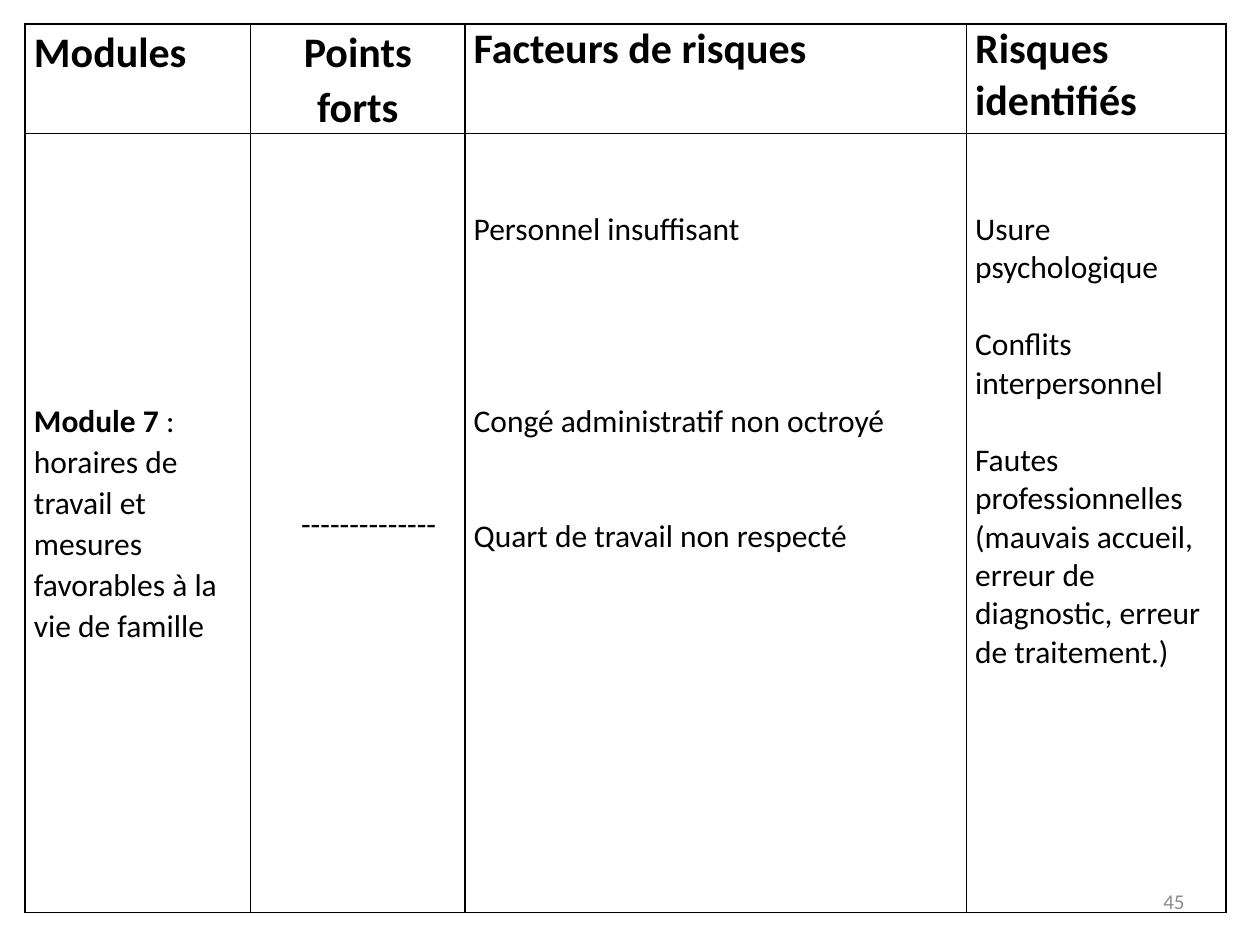
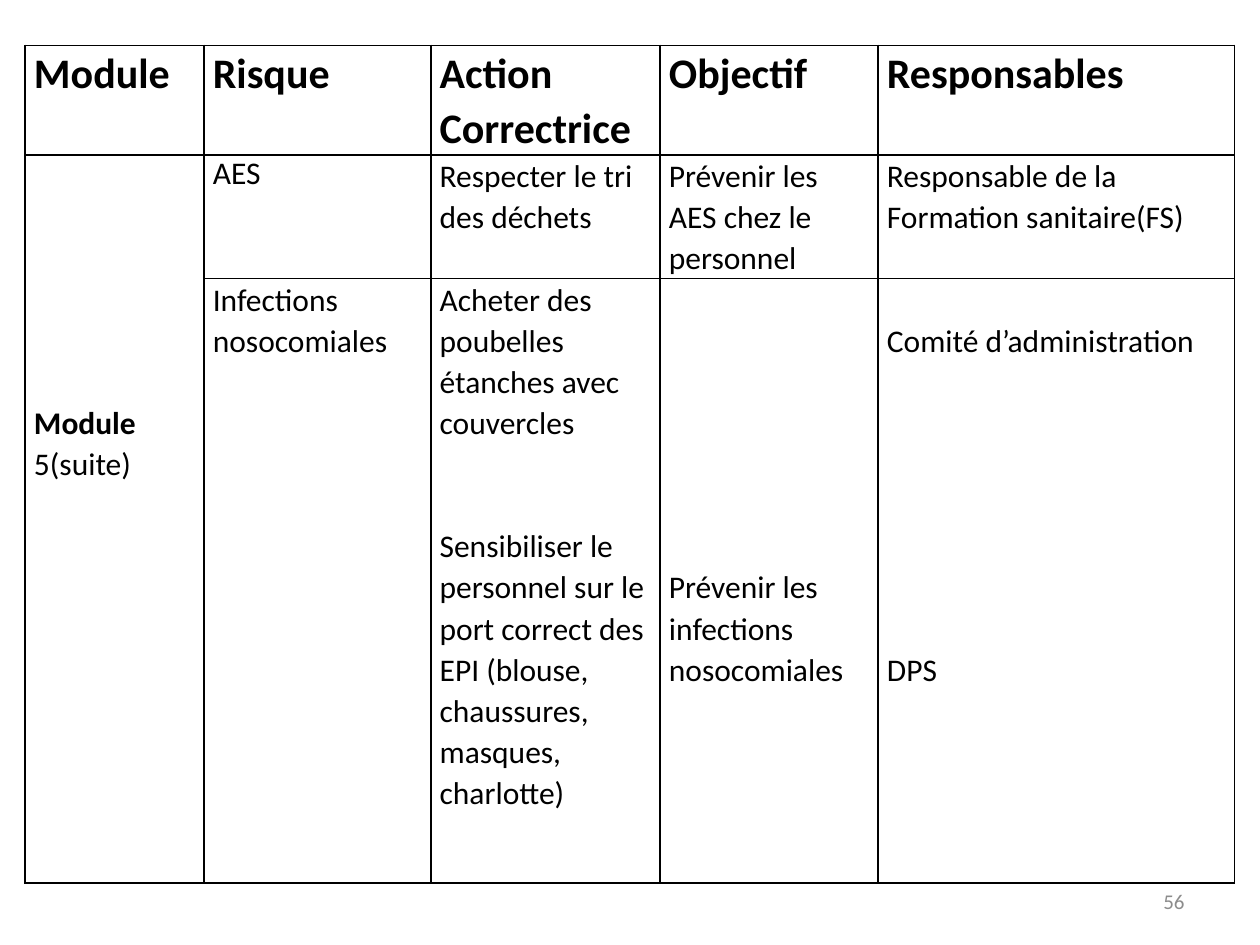
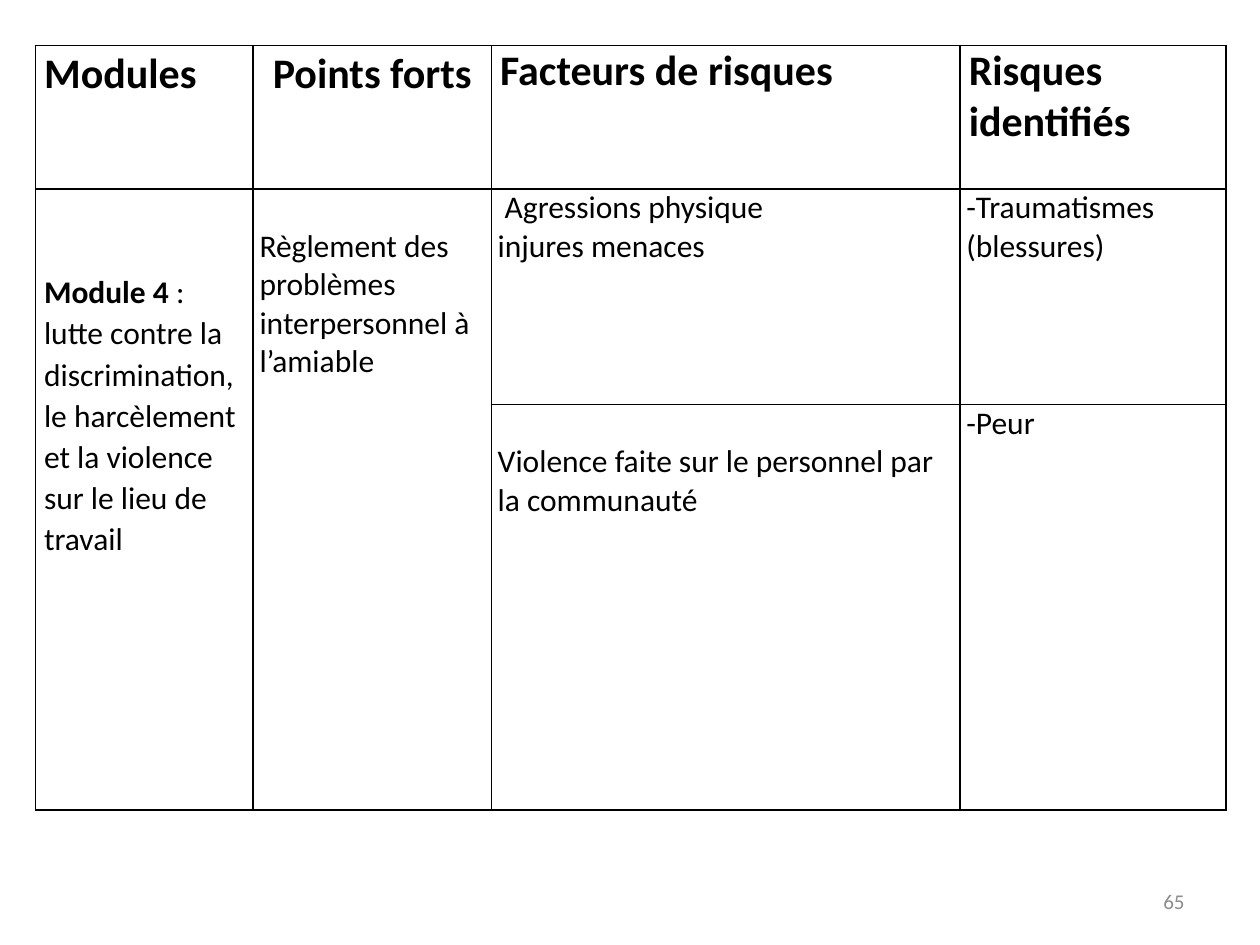
from dataclasses import dataclass
from itertools import product

from lxml.etree import SubElement
from pptx import Presentation
from pptx.dml.color import RGBColor
from pptx.enum.text import MSO_ANCHOR, PP_ALIGN
from pptx.oxml.ns import qn
from pptx.util import Inches, Pt


@dataclass(frozen=True)
class Theme:
    font: str = "Calibri"
    ink: str = "000000"
    muted: str = "8C8C8C"
    heading: int = 24
    body: int = 18
    number: int = 12
    border: int = 1
    loose: float = 1.07
    line_height: float = 1.22


THEME = Theme()


@dataclass(frozen=True)
class Box:
    left: float
    top: float
    width: float
    height: float


@dataclass(frozen=True)
class Line:
    text: str
    lead: str = ""
    gap: int = 0


@dataclass(frozen=True)
class Entry:
    lines: tuple
    size: int = THEME.body
    bold: bool = False
    spacing: float = THEME.loose
    align: PP_ALIGN = PP_ALIGN.LEFT
    anchor: MSO_ANCHOR = MSO_ANCHOR.TOP
    inset: float = 0.07
    indent: float = 0
    rows: int = 1


def heading(text, spacing=THEME.loose, align=PP_ALIGN.LEFT):
    return Entry((Line(text),), THEME.heading, True, spacing, align)


def entry(*lines, **options):
    return Entry(lines, **options)


def add_span(para, text, size, color, bold=False):
    span = para.add_run()
    span.text = text
    span.font.name = THEME.font
    span.font.size = Pt(size)
    span.font.bold = bold
    span.font.color.rgb = RGBColor.from_string(color)


def add_borders(cell):
    properties = cell._tc.get_or_add_tcPr()
    for side in ("a:lnL", "a:lnR", "a:lnT", "a:lnB"):
        edge = SubElement(properties, qn(side), w=str(Pt(THEME.border)))
        fill = SubElement(edge, qn("a:solidFill"))
        SubElement(fill, qn("a:srgbClr"), val=THEME.ink)


def fill_cell(cell, content):
    pitch = Pt(content.size * THEME.line_height * content.spacing)
    cell.margin_left = Inches(content.inset + content.indent)
    cell.margin_right = Inches(content.inset)
    cell.margin_top = pitch * content.lines[0].gap
    cell.margin_bottom = 0
    cell.vertical_anchor = content.anchor
    frame = cell.text_frame
    for index, line in enumerate(content.lines):
        para = frame.add_paragraph() if index else frame.paragraphs[0]
        para.alignment = content.align
        para.line_spacing = content.spacing
        if index:
            para.space_before = pitch * line.gap
        if line.lead:
            add_span(para, line.lead, content.size, THEME.ink, True)
        add_span(para, line.text, content.size, THEME.ink, content.bold)


def add_risk_table(page, box, widths, heights, rows):
    frame = page.shapes.add_table(
        len(heights), len(widths),
        Inches(box.left), Inches(box.top), Inches(box.width), Inches(box.height),
    )
    table = frame.table
    table.first_row = False
    table.horz_banding = False
    for column, width in zip(table.columns, widths):
        column.width = Inches(width)
    for row, height in zip(table.rows, heights):
        row.height = Inches(height)
    for y, x in product(range(len(heights)), range(len(widths))):
        cell = table.cell(y, x)
        add_borders(cell)
        cell.fill.background()
        content = rows[y][x]
        if content:
            if content.rows > 1:
                cell.merge(table.cell(y + content.rows - 1, x))
            fill_cell(cell, content)


def add_page_number(page, box, number):
    holder = page.shapes.add_textbox(
        Inches(box.left), Inches(box.top), Inches(box.width), Inches(box.height)
    )
    frame = holder.text_frame
    frame.word_wrap = True
    frame.vertical_anchor = MSO_ANCHOR.MIDDLE
    para = frame.paragraphs[0]
    para.alignment = PP_ALIGN.RIGHT
    add_span(para, str(number), THEME.number, THEME.muted)


def add_table_page(deck, number, left, top, widths, heights, rows):
    page = deck.slides.add_slide(deck.slide_layouts[6])
    box = Box(left, top, sum(widths), sum(heights))
    add_risk_table(page, box, widths, heights, rows)
    add_page_number(page, Box(7.17, 6.95, 2.33, 0.4), number)


FACTOR_HEADINGS = (
    heading("Modules"),
    heading("Points forts", align=PP_ALIGN.CENTER),
    heading("Facteurs de risques", spacing=1),
    heading("Risques identifiés", spacing=1),
)

ACTION_HEADINGS = tuple(
    heading(text)
    for text in ("Module", "Risque", "Action Correctrice", "Objectif", "Responsables")
)

WORKING_HOURS = (
    FACTOR_HEADINGS,
    (
        entry(
            Line(": horaires de travail et mesures favorables à la vie de famille", "Module 7 "),
            anchor=MSO_ANCHOR.MIDDLE,
        ),
        entry(Line("--------------"), anchor=MSO_ANCHOR.MIDDLE, indent=0.33),
        entry(
            Line("Personnel insuffisant", gap=2),
            Line("Congé administratif non octroyé", gap=4),
            Line("Quart de travail non respecté", gap=2),
            spacing=1,
        ),
        entry(
            Line("Usure psychologique", gap=2),
            Line("Conflits interpersonnel", gap=1),
            Line(
                "Fautes professionnelles (mauvais accueil, erreur de diagnostic, "
                "erreur de traitement.)",
                gap=1,
            ),
            spacing=1,
        ),
    ),
)

CORRECTIVE_ACTIONS = (
    ACTION_HEADINGS,
    (
        entry(Line(" 5(suite)", "Module", gap=6), rows=2),
        entry(Line("AES"), spacing=1),
        entry(Line("Respecter le tri des déchets")),
        entry(Line("Prévenir les AES chez le personnel")),
        entry(Line("Responsable de la Formation sanitaire(FS)")),
    ),
    (
        None,
        entry(Line("Infections nosocomiales")),
        entry(
            Line("Acheter des poubelles étanches avec couvercles"),
            Line(
                "Sensibiliser le personnel sur le port correct des EPI "
                "(blouse, chaussures, masques, charlotte)",
                gap=2,
            ),
        ),
        entry(Line("Prévenir les infections nosocomiales", gap=7)),
        entry(Line("Comité d’administration", gap=1), Line("DPS", gap=7)),
    ),
)

WORKPLACE_VIOLENCE = (
    FACTOR_HEADINGS,
    (
        entry(
            Line(
                " : lutte contre la discrimination, le harcèlement et la violence "
                "sur le lieu de travail",
                "Module 4",
                gap=2,
            ),
            rows=2,
        ),
        entry(
            Line("Règlement des problèmes interpersonnel à l’amiable", gap=1),
            spacing=1, inset=0.05, rows=2,
        ),
        entry(Line(" Agressions physique"), Line("injures menaces"), spacing=1, inset=0.05),
        entry(Line("-Traumatismes (blessures)"), spacing=1, inset=0.05),
    ),
    (
        None,
        None,
        entry(
            Line("Violence faite sur le personnel par la communauté", gap=1),
            spacing=1, inset=0.05,
        ),
        entry(Line("-Peur"), spacing=1, inset=0.05),
    ),
)


def main():
    deck = Presentation()
    deck.slide_width = Inches(10)
    deck.slide_height = Inches(7.5)
    add_table_page(
        deck, 45, 0.2, 0.19, (1.79, 1.7, 3.98, 2.06), (0.87, 6.18), WORKING_HOURS
    )
    add_table_page(
        deck, 56, 0.2, 0.36, (1.42, 1.8, 1.82, 1.73, 2.83), (0.87, 0.98, 4.8),
        CORRECTIVE_ACTIONS,
    )
    add_table_page(
        deck, 65, 0.28, 0.36, (1.73, 1.89, 3.72, 2.11), (1.14, 1.71, 3.22),
        WORKPLACE_VIOLENCE,
    )
    deck.save("out.pptx")


if __name__ == "__main__":
    main()
